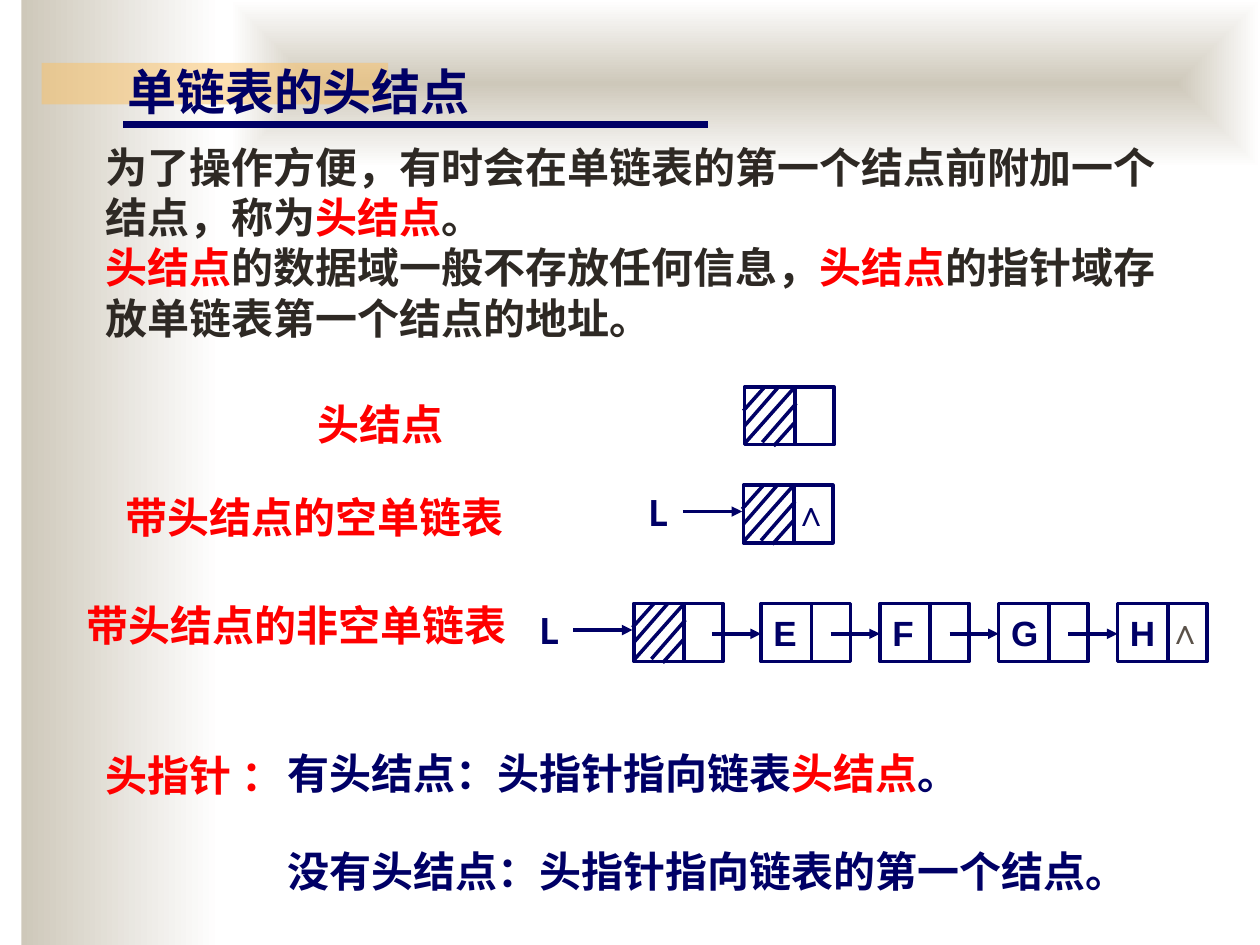
from lxml.etree import SubElement
from pptx import Presentation
from pptx.dml.color import RGBColor
from pptx.enum.shapes import MSO_CONNECTOR, MSO_SHAPE
from pptx.enum.text import MSO_ANCHOR, MSO_AUTO_SIZE, PP_ALIGN
from pptx.oxml.ns import qn
from pptx.util import Inches, Pt

NAVY = RGBColor(0x00, 0x00, 0x66)
RED = RGBColor(0xFF, 0x00, 0x00)
DARK = RGBColor(0x2E, 0x29, 0x24)
BROWN = RGBColor(0x5B, 0x52, 0x49)
SAND = RGBColor(0xCE, 0xC8, 0xBA)
WHITE = RGBColor(0xFF, 0xFF, 0xFF)
ORANGE = RGBColor(0xFA, 0xC1, 0x64)
SANS, SERIF, CJK = "Arial", "Times New Roman", "Noto Sans CJK SC"

TITLE = "单链表的头结点"
HEAD = ("头结点", RED, CJK)
BODY = [
    [("为了操作方便，有时会在单链表的第一个结点前附加一个结点，称为", DARK, SERIF),
     HEAD, ("。", DARK, SERIF)],
    [HEAD, ("的数据域一般不存放任何信息，", DARK, SERIF),
     HEAD, ("的指针域存放单链表第一个结点的地址。", DARK, SERIF)],
]
# left, top, width, runs
LABELS = [
    (2.42, 3.11, 1.51, [("头结点", RED, SANS)]),
    (0.9, 3.85, 4.04, [("带头结点的空单链表", RED, SANS)]),
    (0.59, 4.71, 3.62, [("带头结点的非空单链表", RED, SANS)]),
    (0.74, 5.9, 1.64, [("头指针 ：", RED, SANS)]),
    (2.18, 5.88, 6.69, [("有头结点：头指针指向链表", NAVY, SANS),
                        ("头结点", RED, SANS), ("。", NAVY, SANS)]),
    (2.18, 6.66, 6.69, [("没有头结点：头指针指向链表的第一个结点。", NAVY, SANS)]),
]
LIST_ITEMS = ["E", "F", "G", "H"]
HEAD_NODE = (5.91, 3.07)
EMPTY_LIST = (5.9, 3.85)
FULL_LIST = (5.03, 4.79)
FIRST_ITEM_LEFT, ITEM_PITCH = 6.04, 0.943
NODE_WIDTH, NODE_HEIGHT, DIVIDER = 0.71, 0.46, 0.4
ARROW_LENGTH = 0.39
# Hatch strokes relative to the node's corner: x1, y1, x2, y2
HATCH = [
    (0.16, 0, -0.01, 0.19),
    (0.27, 0, 0, 0.31),
    (0.4, 0, 0, 0.45),
    (0.41, 0.13, 0.14, 0.44),
    (0.4, 0.28, 0.23, 0.47),
]


def write(shape, paragraphs, size, bold=True, wrap=True, anchor=MSO_ANCHOR.TOP):
    """Fill a shape with paragraphs, each a list of (text, colour, font)."""
    frame = shape.text_frame
    settings = {"word_wrap": wrap, "auto_size": MSO_AUTO_SIZE.NONE, "vertical_anchor": anchor}
    for name, value in settings.items():
        setattr(frame, name, value)
    for index, runs in enumerate(paragraphs):
        paragraph = frame.add_paragraph() if index else frame.paragraphs[0]
        paragraph.alignment = PP_ALIGN.LEFT
        for text, colour, font in runs:
            run = paragraph.add_run()
            run.text = text
            for name, value in {"size": Pt(size), "bold": bold, "name": font}.items():
                setattr(run.font, name, value)
            run.font.color.rgb = colour
            SubElement(run.font._element, qn("a:ea"), typeface=CJK)


def add_text(shapes, box, paragraphs, size, **options):
    write(shapes.add_textbox(*map(Inches, box)), paragraphs, size, **options)


def add_rectangle(shapes, *box):
    shape = shapes.add_shape(MSO_SHAPE.RECTANGLE, *map(Inches, box))
    shape.shadow.inherit = False
    return shape


def add_gradient(shapes, box, from_centre=False):
    shape = add_rectangle(shapes, *box)
    shape.line.fill.background()
    shape.fill.gradient()
    shape.fill.gradient_angle = 0
    for stop, colour in zip(shape.fill.gradient_stops, (SAND, WHITE)):
        stop.color.rgb = colour
    if from_centre:
        gradient = shape.element.spPr.find(qn("a:gradFill"))
        gradient.remove(gradient.find(qn("a:lin")))
        path = SubElement(gradient, qn("a:path"), {"path": "shape"})
        SubElement(path, qn("a:fillToRect"), dict.fromkeys("ltrb", "50000"))


def outline(shape, width=2):
    shape.line.color.rgb = NAVY
    shape.line.width = Pt(width)


def add_line(shapes, *ends, width=2, arrow=False):
    line = shapes.add_connector(MSO_CONNECTOR.STRAIGHT, *map(Inches, ends))
    outline(line, width)
    if arrow:
        SubElement(line.line._get_or_add_ln(), qn("a:tailEnd"), type="triangle")
    SubElement(line.element.spPr, qn("a:effectLst"))


def add_node(shapes, left, top, item=None):
    """Draw a two-field node; without an item its data field is hatched."""
    node = add_rectangle(shapes, left, top, NODE_WIDTH, NODE_HEIGHT)
    node.fill.background()
    outline(node)
    add_line(shapes, left + DIVIDER, top, left + DIVIDER, top + NODE_HEIGHT + 0.01)
    if item:
        write(node, [[(item, NAVY, SANS)]], 20, anchor=MSO_ANCHOR.MIDDLE)
        return
    for x1, y1, x2, y2 in HATCH:
        builder = shapes.build_freeform(Inches(left + x1), Inches(top + y1))
        builder.add_line_segments([(Inches(left + x2), Inches(top + y2))], close=False)
        stroke = builder.convert_to_shape()
        stroke.shadow.inherit = False
        stroke.fill.background()
        outline(stroke)


def add_list_start(shapes, left, top):
    add_text(shapes, (left - 0.85, top, 0.34, 0.44), [[("L", NAVY, CJK)]], 20, wrap=False)
    add_line(shapes, left - 0.48, top + 0.21, left - 0.01, top + 0.21, arrow=True)
    add_node(shapes, left, top)


def add_null(shapes, left, top, colour, font, bold):
    add_text(shapes, (left + 0.3, top, 0.48, 0.43), [[("∧", colour, font)]], 20,
             bold=bold, wrap=False)


def main():
    presentation = Presentation()
    presentation.slide_width, presentation.slide_height = Inches(10), Inches(7.5)
    slide = presentation.slides.add_slide(presentation.slide_layouts[5])
    shapes = slide.shapes

    add_gradient(shapes, (0.17, 0, 1.58, 7.5))
    add_gradient(shapes, (1.83, 0, 8.17, 1.33), from_centre=True)
    band = add_rectangle(shapes, 0.33, 0.5, 2.75, 0.33)
    band.line.fill.background()
    band.fill.solid()
    band.fill.fore_color.rgb = ORANGE
    colour = band.element.spPr.find(qn("a:solidFill")).find(qn("a:srgbClr"))
    SubElement(colour, qn("a:alpha"), val="50000")

    title = shapes.title
    title.element.getparent().append(title.element)
    title.left, title.top, title.width, title.height = map(Inches, (0.91, 0.44, 5.97, 0.57))
    write(title, [[(TITLE, NAVY, SANS)]], 28)
    add_line(shapes, 0.98, 0.99, 5.62, 0.99, width=4.25)

    add_text(shapes, (0.74, 1.07, 8.84, 1.72), BODY, 24)
    for left, top, width, runs in LABELS:
        add_text(shapes, (left, top, width, 0.5), [runs], 24)

    add_node(shapes, *HEAD_NODE)
    add_list_start(shapes, *EMPTY_LIST)
    add_null(shapes, *EMPTY_LIST, NAVY, SANS, True)

    add_list_start(shapes, *FULL_LIST)
    top = FULL_LIST[1]
    for index, item in enumerate(LIST_ITEMS):
        left = FIRST_ITEM_LEFT + index * ITEM_PITCH
        add_line(shapes, left - ARROW_LENGTH, top + 0.24, left, top + 0.24, arrow=True)
        add_node(shapes, left, top, item)
    add_null(shapes, left, top, BROWN, SERIF, False)

    presentation.save("out.pptx")


if __name__ == "__main__":
    main()
